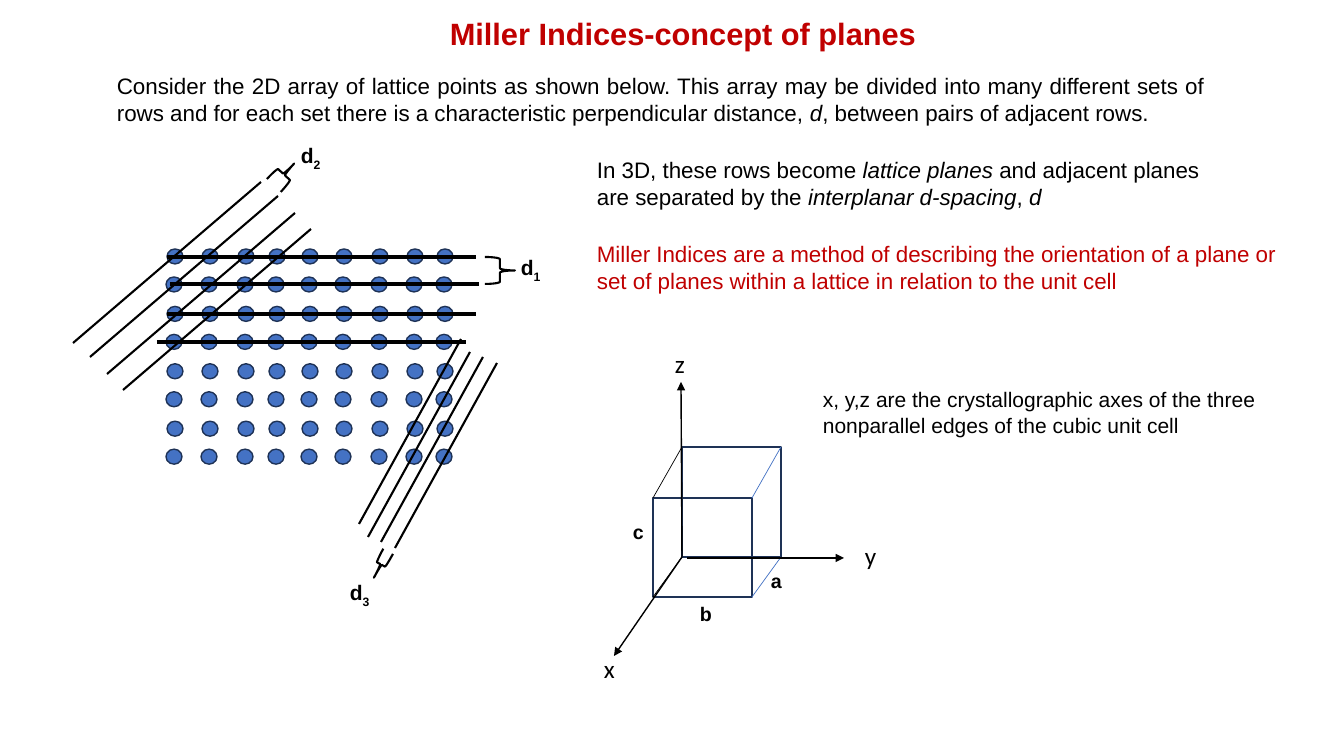
"""Builds the slide on Miller indices: a 2D lattice with row spacings and a cubic unit cell."""
import pptx
import pptx.util
import pptx.dml.color
import pptx.enum.shapes
import pptx.enum.text
import pptx.oxml.ns
import lxml.etree

RGB = pptx.dml.color.RGBColor
SHAPE = pptx.enum.shapes.MSO_SHAPE
ALIGN = pptx.enum.text.PP_ALIGN
BLACK = RGB(0x00, 0x00, 0x00)
RED = RGB(0xC0, 0x00, 0x00)
BLUE = RGB(0x44, 0x72, 0xC4)
NAVY = RGB(0x1E, 0x32, 0x56)

PX = 914400 / 100.8
SLIDE_SIZE = (1344, 756)

TITLE = "Miller Indices-concept of planes"
INTRO = [
    ("Consider the 2D array of lattice points as shown below. This array may be divided into many "
     "different sets of rows and for each set there is a characteristic perpendicular distance, ", ""),
    ("d", "italic"),
    (", between pairs of adjacent rows.", ""),
]
PLANES = [
    ("In 3D, these rows become ", ""),
    ("lattice planes ", "italic"),
    ("and adjacent planes are separated by the ", ""),
    ("interplanar d-spacing", "italic"),
    (", ", ""),
    ("d", "italic"),
]
DEFINITION = ("Miller Indices are a method of describing the orientation of a plane or set of planes "
              "within a lattice in relation to the unit cell")
AXES_NOTE = ("x, y,z are the crystallographic axes of the three nonparallel edges "
             "of the cubic unit cell")

DOT_SIZE = (16, 15)
DOT_COLUMNS = [167, 202, 238, 269, 302, 336, 372, 407, 437]
DOT_TOP, ROW_PAIR_STEP, ROW_STEP, ROW_PAIRS = 249, 57.4, 28, 4

ROW_SETS = [
    {"starts": [(167, 257), (170, 284), (167, 314), (157, 342)], "reach": (309, 0), "weight": 2.25,
     "brace": (485, 257, 30, 27), "turn": 0, "label": (511, 250)},
    {"starts": [(73, 343), (90, 357), (107, 374), (123, 390)], "reach": (188, -161), "weight": 1.5,
     "brace": (269, 165, 30, 19), "turn": 312.9, "label": (291, 138)},
    {"starts": [(359, 524), (368, 537), (381, 542), (395, 548)], "reach": (102, -185), "weight": 1.5,
     "brace": (366, 559, 30, 11), "turn": 118.3, "label": (340, 575)},
]

CELL_FACES = [(682, 447, 99, 110), (653, 498, 99, 99)]
CELL_EDGES = [
    ((682, 447), (653, 498), BLACK),
    ((781, 447), (752, 498), BLUE),
    ((682, 557), (653, 597), BLACK),
    ((781, 557), (752, 597), BLUE),
]
AXES = [
    ("x", (682, 557), (614, 656), (594, 648)),
    ("y", (687, 558), (844, 558), (855, 535)),
    ("z", (682, 557), (681, 382), (665, 343)),
]
EDGE_LABELS = [("a", 761, 564), ("b", 690, 597), ("c", 623, 515)]


def px(value):
    return round(value * PX)


def add_text(page, place, content, size, color=BLACK, font="Arial", bold=None,
             align=ALIGN.LEFT, wrap=True):
    box = page.shapes.add_textbox(*map(px, place))
    frame = box.text_frame
    frame.word_wrap = wrap
    para = frame.paragraphs[0]
    para.alignment = align
    spans = [(content, "")] if isinstance(content, str) else content
    for text, style in spans:
        span = para.add_run()
        span.text = text
        span.font.size = pptx.util.Pt(size)
        span.font.name = font
        span.font.bold = bold
        span.font.color.rgb = color
        if style == "italic":
            span.font.italic = True
        if style == "subscript":
            span.font._element.set("baseline", "-25000")
    return box


def add_outline(page, kind, place, color, weight, fill=None):
    shape = page.shapes.add_shape(kind, *map(px, place))
    shape.shadow.inherit = False
    if fill is None:
        shape.fill.background()
    else:
        shape.fill.solid()
        shape.fill.fore_color.rgb = fill
    shape.line.color.rgb = color
    shape.line.width = pptx.util.Pt(weight)
    return shape


def add_line(page, start, end, color, weight, arrow=False):
    line = page.shapes.add_connector(pptx.enum.shapes.MSO_CONNECTOR.STRAIGHT,
                                     *map(px, (*start, *end)))
    line.line.color.rgb = color
    line.line.width = pptx.util.Pt(weight)
    if arrow:
        lxml.etree.SubElement(line.line._get_or_add_ln(), pptx.oxml.ns.qn("a:tailEnd"), type="triangle")
    lxml.etree.SubElement(line._element.spPr, pptx.oxml.ns.qn("a:effectLst"))


def add_lattice(page):
    for pair in range(ROW_PAIRS):
        for half in range(2):
            top = DOT_TOP + pair * ROW_PAIR_STEP + half * ROW_STEP
            for left in DOT_COLUMNS:
                add_outline(page, SHAPE.OVAL, (left - half, top, *DOT_SIZE), NAVY, 1, BLUE)


def add_row_sets(page):
    for number, rows in enumerate(ROW_SETS, 1):
        reach_x, reach_y = rows["reach"]
        for x, y in rows["starts"]:
            add_line(page, (x, y), (x + reach_x, y + reach_y), BLACK, rows["weight"])
        brace = add_outline(page, SHAPE.RIGHT_BRACE, rows["brace"], BLACK, 1.5)
        brace.rotation = rows["turn"]
        add_text(page, (*rows["label"], 41, 35), [("d", ""), (str(number), "subscript")], 15,
                 bold=True, wrap=False)


def add_unit_cell(page):
    for face in CELL_FACES:
        add_outline(page, SHAPE.RECTANGLE, face, NAVY, 1)
    for start, end, color in CELL_EDGES:
        add_line(page, start, end, color, 0.5)
    for name, start, end, label in AXES:
        add_line(page, start, end, BLACK, 1, arrow=True)
        add_text(page, (*label, 31, 40), name, 18, font="Calibri", wrap=False)
    for name, left, top in EDGE_LABELS:
        add_text(page, (left, top, 32, 34), name, 14, bold=True, wrap=False)


def main():
    deck = pptx.Presentation()
    deck.slide_width, deck.slide_height = map(px, SLIDE_SIZE)
    page = deck.slides.add_slide(deck.slide_layouts[6])

    title = add_text(page, (179, 4, 1008, 53), TITLE, 22, RED, bold=True, align=ALIGN.CENTER)
    title.text_frame.vertical_anchor = pptx.enum.text.MSO_ANCHOR.BOTTOM
    title.text_frame.paragraphs[0].line_spacing = 0.9
    add_text(page, (107, 67, 1108, 64), INTRO, 16, align=ALIGN.JUSTIFY)
    add_lattice(page)
    add_row_sets(page)
    add_text(page, (587, 151, 643, 64), PLANES, 16)
    add_text(page, (587, 235, 705, 64), DEFINITION, 16, RED)
    add_unit_cell(page)
    add_text(page, (813, 382, 494, 61), AXES_NOTE, 15)
    deck.save("out.pptx")


if __name__ == "__main__":
    main()
